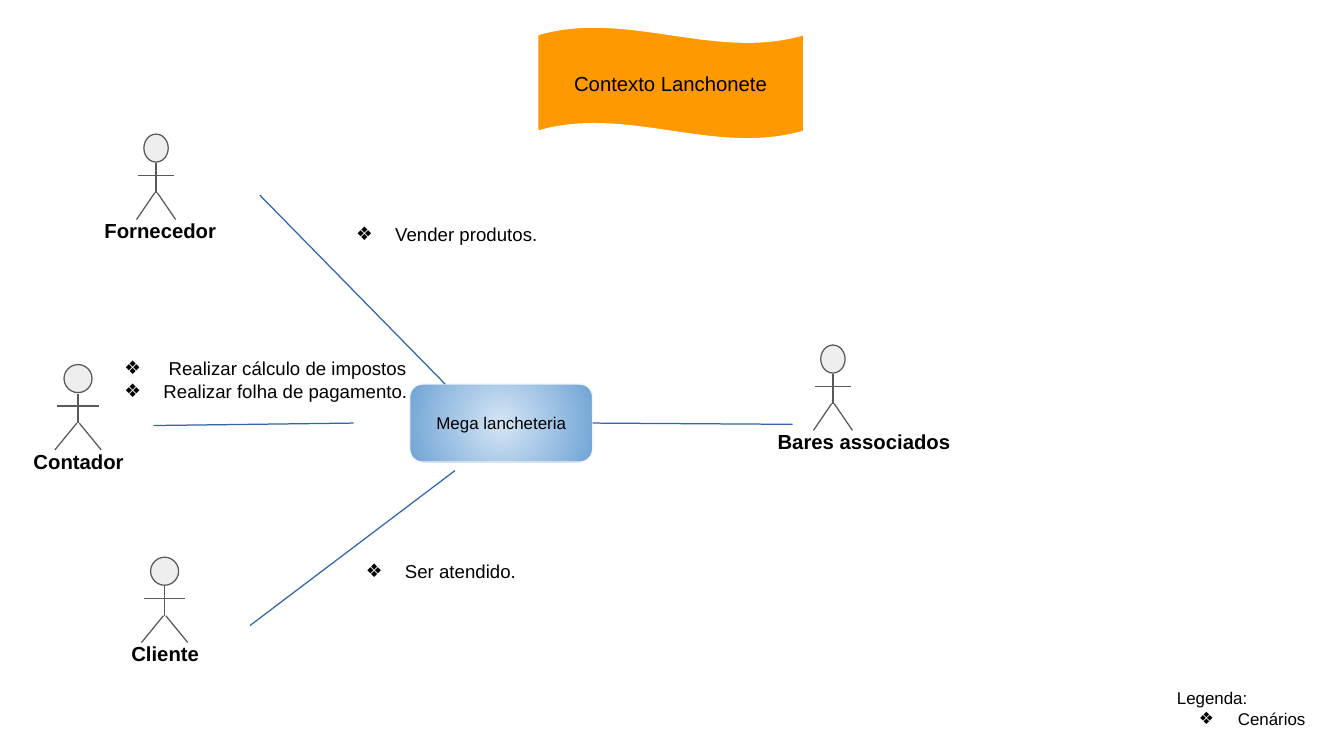
from dataclasses import dataclass

import lxml.etree
import pptx
import pptx.dml.color
import pptx.enum.shapes
import pptx.enum.text
import pptx.oxml.ns
import pptx.util

SHAPE = pptx.enum.shapes.MSO_SHAPE
ALIGN = pptx.enum.text.PP_ALIGN
ANCHOR = pptx.enum.text.MSO_ANCHOR
EMU_PER_PX = 9144  # 100 px to the inch


@dataclass(frozen=True)
class Theme:
    font: str = "Arial"
    text: str = "000000"
    banner: str = "FF9900"
    banner_line: str = "FFFFFF"
    system_centre: str = "D4E5F5"
    system_edge: str = "70A4D5"
    system_line: str = "F3F3F3"
    head: str = "EEEEEE"
    figure_line: str = "595959"
    link: str = "3465A4"
    title_size: int = 12
    list_size: int = 11
    small_size: int = 10
    line_width: float = 0.75
    inset: int = 10
    bullet: str = "❖"


def px(n):
    return pptx.util.Emu(round(n * EMU_PER_PX))


def rgb(color):
    return pptx.dml.color.RGBColor.from_string(color)


def add_xml(parent, tag, **attributes):
    return lxml.etree.SubElement(parent, pptx.oxml.ns.qn(tag), attributes)


class Diagram:
    def __init__(self, slide, theme):
        self.slide = slide
        self.theme = theme

    def place(self, sp, left, top, width, height):
        sp.left, sp.top, sp.width, sp.height = map(px, (left, top, width, height))

    def outline(self, sp, color):
        sp.line.color.rgb = rgb(color)
        sp.line.width = pptx.util.Pt(self.theme.line_width)

    def set_text(self, sp, lines, size, align=ALIGN.LEFT, anchor=ANCHOR.TOP, bold=False):
        tf = sp.text_frame
        tf.text = "\n".join(lines)
        tf.word_wrap = True
        tf.auto_size = pptx.enum.text.MSO_AUTO_SIZE.NONE
        tf.vertical_anchor = anchor
        tf.margin_left = tf.margin_right = px(self.theme.inset)
        tf.margin_top = tf.margin_bottom = px(self.theme.inset)
        for p in tf.paragraphs:
            p.alignment = align
            p.space_before = p.space_after = pptx.util.Pt(0)
            p.font.name = self.theme.font
            p.font.size = pptx.util.Pt(size)
            p.font.bold = bold
            p.font.color.rgb = rgb(self.theme.text)
        return tf

    def shape(self, kind, box, line, fill=None, shapes=None):
        sp = (shapes or self.slide.shapes).add_shape(kind, *map(px, box))
        sp.shadow.inherit = False
        if fill:
            sp.fill.solid()
            sp.fill.fore_color.rgb = rgb(fill)
        self.outline(sp, line)
        return sp

    def line(self, start, end, color, shapes=None):
        sp = (shapes or self.slide.shapes).add_connector(
            pptx.enum.shapes.MSO_CONNECTOR.STRAIGHT, *map(px, (*start, *end)))
        self.outline(sp, color)
        add_xml(sp._element.spPr, "a:effectLst")
        return sp

    def banner(self, text, box):
        """Put the slide title on a waved flag."""
        wave = self.shape(SHAPE.WAVE, box, self.theme.banner_line, self.theme.banner)
        wave.adjustments[0] = 0.07
        title = self.slide.shapes.title
        wave._element.addnext(title._element)
        self.place(title, *box)
        self.set_text(title, [text], self.theme.title_size, ALIGN.CENTER, ANCHOR.MIDDLE)

    def system(self, text, box):
        sp = self.shape(SHAPE.ROUNDED_RECTANGLE, box, self.theme.system_line)
        sp.fill.gradient()
        colors = self.theme.system_centre, self.theme.system_edge
        for stop, color in zip(sp.fill.gradient_stops, colors):
            stop.color.rgb = rgb(color)
        grad = sp._element.spPr.find(pptx.oxml.ns.qn("a:gradFill"))
        grad.remove(grad.find(pptx.oxml.ns.qn("a:lin")))
        radial = add_xml(grad, "a:path", path="circle")
        add_xml(radial, "a:fillToRect", l="50000", t="50000", r="50000", b="50000")
        self.set_text(sp, [text], self.theme.small_size, ALIGN.CENTER, ANCHOR.MIDDLE)
        return sp

    def actor(self, name, x, top, head, label_left, label_width):
        """Draw a named stick figure centred on x; head is the head's width."""
        shapes = self.slide.shapes.add_group_shape().shapes
        self.shape(SHAPE.FLOWCHART_CONNECTOR, (x - head / 2, top, head, 23),
                   self.theme.figure_line, self.theme.head, shapes)
        arm, leg = round(head * 0.73), round(head * 0.82)
        neck, shoulder, hip, foot = (top + d for d in (24, 34, 48, 70))
        limbs = [((x, neck), (x, hip)),
                 ((x - arm, shoulder), (x + arm, shoulder)),
                 ((x - 1, hip), (x - leg, foot)),
                 ((x + 1, hip), (x + leg, foot))]
        for start, end in limbs:
            self.line(start, end, self.theme.figure_line, shapes)
        label = shapes.add_textbox(*map(px, (label_left, top + 59, label_width, 41)))
        self.set_text(label, [name], self.theme.title_size, ALIGN.CENTER, bold=True)

    def bullets(self, idx, box, items, size, heading=None):
        """Fill a body placeholder with a bulleted list under an optional heading."""
        sp = self.slide.placeholders[idx]
        self.place(sp, *box)
        lines = [heading, *items] if heading else items
        for i, p in enumerate(self.set_text(sp, lines, size).paragraphs):
            pPr = p._p.get_or_add_pPr()
            is_heading = heading and i == 0
            pPr.set("marL", str(0 if is_heading else px(50)))
            pPr.set("indent", str(0 if is_heading else -px(32)))
            mark = pPr.makeelement(
                pptx.oxml.ns.qn("a:buNone" if is_heading else "a:buChar"),
                {} if is_heading else {"char": self.theme.bullet})
            pPr.find(pptx.oxml.ns.qn("a:defRPr")).addprevious(mark)


def main():
    prs = pptx.Presentation()
    prs.slide_width, prs.slide_height = px(1102), px(620)
    comparison = prs.slide_layouts[4]
    theme = Theme()
    diagram = Diagram(prs.slides.add_slide(comparison), theme)

    diagram.banner("Contexto Lanchonete", (441, 22, 218, 92))
    system = diagram.system("Mega lancheteria", (336, 315, 150, 64))

    for actor in [("Contador", 64, 299, 23, 3, 123),
                  ("Fornecedor", 128, 110, 20, 51, 161),
                  ("Cliente", 135, 457, 23, 74, 123),
                  ("Bares associados", 683, 283, 20, 607, 203)]:
        diagram.actor(*actor)

    scenarios = [(1, (264, 173, 365, 134), ["Vender produtos."]),
                 (2, (74, 283, 365, 100), [" Realizar cálculo de impostos",
                                           "Realizar folha de pagamento."]),
                 (3, (272, 449, 365, 100), ["Ser atendido."])]
    for idx, box, items in scenarios:
        diagram.bullets(idx, box, items, theme.list_size)
    diagram.bullets(4, (955, 554, 139, 57), ["Cenários"], theme.small_size, "Legenda:")

    for start, end in [((213, 160), (365, 315)),
                       ((205, 513), (373, 386)),
                       ((126, 349), (290, 347))]:
        diagram.line(start, end, theme.link)
    diagram.line((486, 347), (650, 348), theme.link).begin_connect(system, 3)

    prs.save("out.pptx")


if __name__ == "__main__":
    main()
